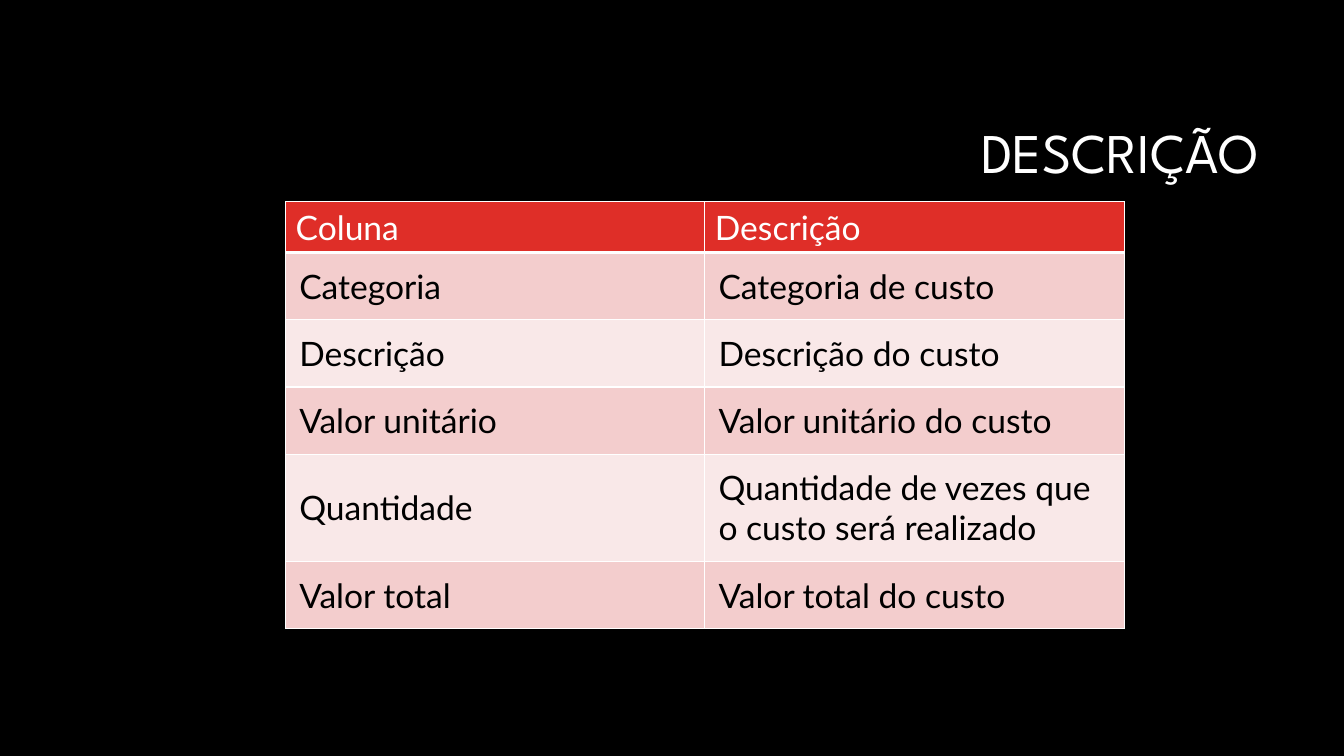
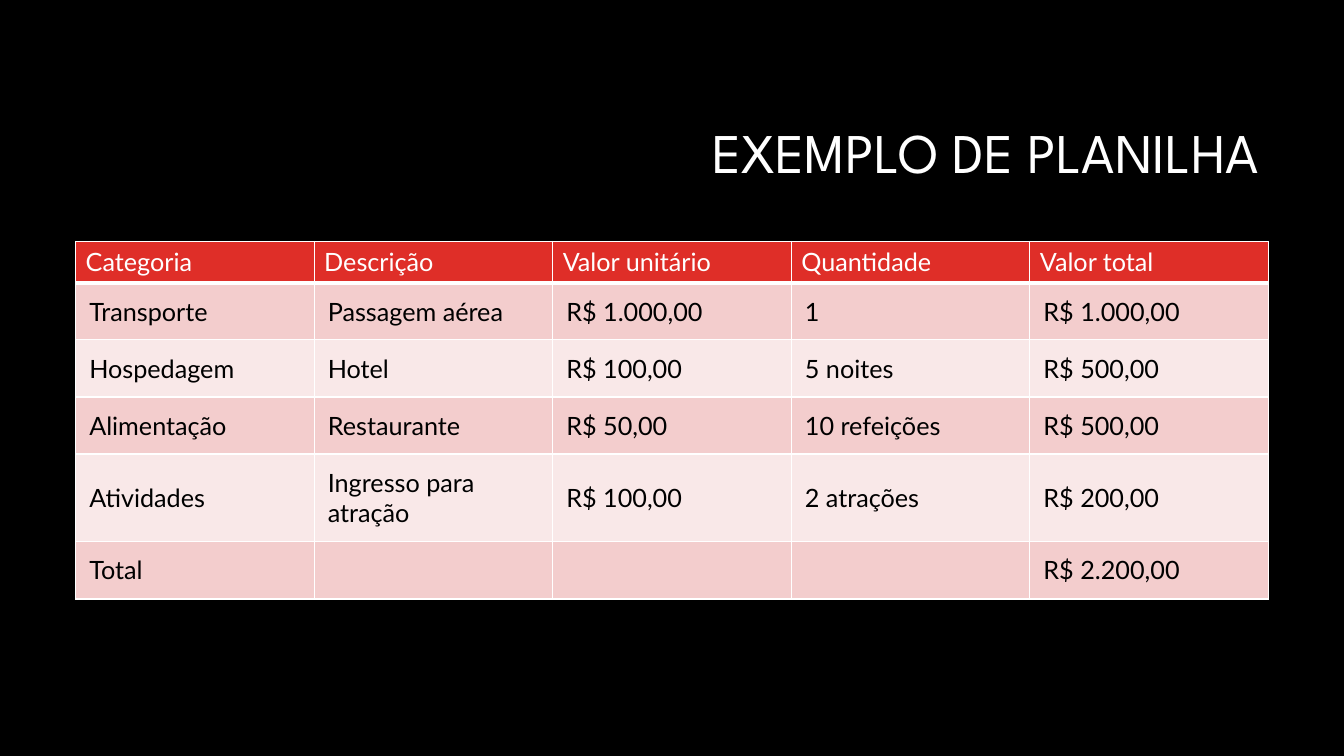
from lxml import etree
from pptx import Presentation
from pptx.dml.color import RGBColor
from pptx.enum.text import MSO_ANCHOR, PP_ALIGN
from pptx.oxml.ns import qn
from pptx.util import Pt

MIDDLE = MSO_ANCHOR.MIDDLE
RIGHT = PP_ALIGN.RIGHT
TITLE_ONLY = 5


def color(value):
    """Return the colour for a hex string."""
    return RGBColor.from_string(value)


class Deck:
    """Hold the shared style and the current slide."""

    BLACK, WHITE, RED = "000000", "FFFFFF", "DF2E28"
    BANDS = ("F3CDCD", "F9E8E8")
    TITLE_FONT, BODY_FONT = "League Spartan", "Lato"
    TITLE_BOX = (228, 60.5, 678.5, 101.5)
    HEADER_INSETS, BODY_INSETS = (7.2, 3.6), (9.8, 9.6)
    THIN, THICK = 1, 3

    def __init__(self):
        """Start a black widescreen presentation."""
        self.presentation = Presentation()
        self.presentation.slide_width = Pt(960)
        self.presentation.slide_height = Pt(540)
        background = self.presentation.slide_master.background.fill
        background.solid()
        background.fore_color.rgb = color(self.BLACK)
        self.slide = None

    def add_slide(self, title):
        """Add a slide with a right-aligned title."""
        layout = self.presentation.slide_layouts[TITLE_ONLY]
        self.slide = self.presentation.slides.add_slide(layout)
        heading = self.slide.shapes.title
        heading.left, heading.top, heading.width, heading.height = map(Pt, self.TITLE_BOX)
        heading.text_frame.vertical_anchor = MIDDLE
        heading.text_frame.word_wrap = True
        paragraph = heading.text_frame.paragraphs[0]
        paragraph.alignment = RIGHT
        paragraph.line_spacing = 0.9
        self.add_run(paragraph, title, self.TITLE_FONT, 40, self.WHITE)

    def add_run(self, paragraph, text, font, size, ink):
        """Add one formatted run to a paragraph."""
        run = paragraph.add_run()
        run.text = text
        run.font.name = font
        run.font.size = Pt(size)
        run.font.bold = False
        run.font.color.rgb = color(ink)

    def add_table(self, left, top, width, heights, size, rows):
        """Add a table with a red header and banded rows."""
        columns = len(rows[0])
        table = self.slide.shapes.add_table(
            len(rows), columns, Pt(left), Pt(top), Pt(width), Pt(sum(heights))).table
        table.first_row = table.horz_banding = False
        for column in table.columns:
            column.width = Pt(width / columns)
        for index, (height, texts) in enumerate(zip(heights, rows)):
            table.rows[index].height = Pt(height)
            for cell, text in zip(table.rows[index].cells, texts):
                self.format_cell(cell, index, text, size)

    def format_cell(self, cell, row, text, size):
        """Fill, frame and write one table cell."""
        header = row == 0
        across, down = self.HEADER_INSETS if header else self.BODY_INSETS
        cell.margin_left = cell.margin_right = Pt(across)
        cell.margin_top = cell.margin_bottom = Pt(down)
        cell.vertical_anchor = MIDDLE
        self.add_borders(cell, self.THICK if row == 1 else self.THIN,
                         self.THICK if header else self.THIN)
        cell.fill.solid()
        cell.fill.fore_color.rgb = color(self.RED if header else self.BANDS[(row - 1) % 2])
        paragraph = cell.text_frame.paragraphs[0]
        if text:
            ink = self.WHITE if header else self.BLACK
            self.add_run(paragraph, text, self.BODY_FONT, size, ink)
        else:
            paragraph.font.size = Pt(size)

    def add_borders(self, cell, top, bottom):
        """Draw white borders around a cell."""
        properties = cell._tc.get_or_add_tcPr()
        sides = {"L": self.THIN, "R": self.THIN, "T": top, "B": bottom}
        for side, weight in sides.items():
            border = etree.SubElement(properties, qn(f"a:ln{side}"), w=str(Pt(weight)))
            fill = etree.SubElement(border, qn("a:solidFill"))
            etree.SubElement(fill, qn("a:srgbClr"), val=self.WHITE)


def main():
    """Build and save the two slides."""
    deck = Deck()

    deck.add_slide("DESCRIÇÃO")
    deck.add_table(204, 144, 599, (36.4, 48, 48, 48, 76.4, 48), 24, [
        ("Coluna", "Descrição"),
        ("Categoria", "Categoria de custo"),
        ("Descrição", "Descrição do custo"),
        ("Valor unitário", "Valor unitário do custo"),
        ("Quantidade", "Quantidade de vezes que o custo será realizado"),
        ("Valor total", "Valor total do custo"),
    ])

    deck.add_slide("EXEMPLO DE PLANILHA")
    deck.add_table(54, 172.5, 852, (29.5, 40.7, 40.7, 40.7, 62.4, 40.7), 18, [
        ("Categoria", "Descrição", "Valor unitário", "Quantidade", "Valor total"),
        ("Transporte", "Passagem aérea", "R$ 1.000,00", "1", "R$ 1.000,00"),
        ("Hospedagem", "Hotel", "R$ 100,00", "5 noites", "R$ 500,00"),
        ("Alimentação", "Restaurante", "R$ 50,00", "10 refeições", "R$ 500,00"),
        ("Atividades", "Ingresso para atração", "R$ 100,00", "2 atrações", "R$ 200,00"),
        ("Total", "", "", "", "R$ 2.200,00"),
    ])

    deck.presentation.save("out.pptx")


if __name__ == "__main__":
    main()
